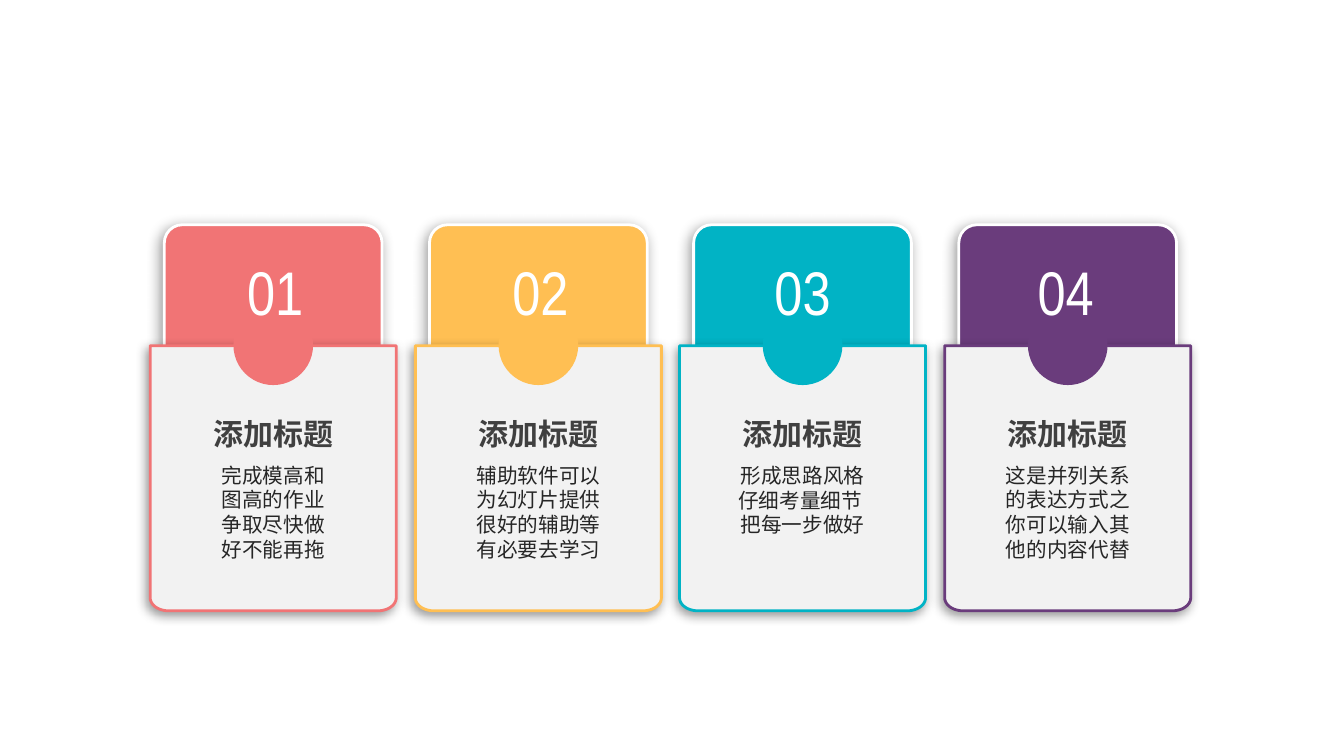
import math

import pptx
import pptx.dml.color
import pptx.enum.shapes
import pptx.enum.text
import pptx.oxml.ns
import pptx.util
from lxml import etree

RGB = pptx.dml.color.RGBColor
SHAPE = pptx.enum.shapes.MSO_SHAPE
qn = pptx.oxml.ns.qn
Pt = pptx.util.Pt

CORAL = RGB(0xF1, 0x74, 0x75)
AMBER = RGB(0xFF, 0xBF, 0x53)
TEAL = RGB(0x01, 0xB3, 0xC5)
PURPLE = RGB(0x6A, 0x3C, 0x7C)
WHITE = RGB(0xFF, 0xFF, 0xFF)
PALE = RGB(0xF2, 0xF2, 0xF2)
HEADING = RGB(0x40, 0x40, 0x40)
BODY = RGB(0x26, 0x26, 0x26)

NUMBER_FONT = "Arial Narrow"
CJK_FONT = "Noto Sans CJK SC"

CARD_LEFT, CARD_TOP, CARD_W, CARD_H = 149, 223, 244, 383
CARD_PITCH = 788 / 3
TAB_INSET, TAB_W, TAB_H = 14, 216, 199
POCKET_DY = 120
CORNER_X, CORNER_Y = 18, 13
NOTCH = 79

CARDS = [
    ("01", 2, CORAL, ["完成模高和", "图高的作业", "争取尽快做", "好不能再拖"]),
    ("02", 2, AMBER, ["辅助软件可以", "为幻灯片提供", "很好的辅助等", "有必要去学习"]),
    ("03", 0, TEAL, ["形成思路风格", "仔细考量细节 ", "把每一步做好"]),
    ("04", -2, PURPLE, ["这是并列关系", "的表达方式之", "你可以输入其", "他的内容代替"]),
]


def px(n):
    return pptx.util.Emu(round(n * 9144))


def style(sp, fill, line=None, blur=None):
    sp.fill.solid()
    sp.fill.fore_color.rgb = fill
    if line is None:
        sp.line.fill.background()
    else:
        sp.line.color.rgb = line
        sp.line.width = Pt(2)
    sp.shadow.inherit = False
    if blur:
        effects = sp._element.spPr.find(qn("a:effectLst"))
        shadow = etree.SubElement(
            effects, qn("a:outerShdw"), blurRad=str(Pt(blur)), dist=str(Pt(3)),
            dir=str(135 * 60000), algn="tr", rotWithShape="0")
        color = etree.SubElement(shadow, qn("a:srgbClr"), val="000000")
        etree.SubElement(color, qn("a:alpha"), val="40000")


def add_shape(shapes, kind, x, y, w, h):
    return shapes.add_shape(kind, px(x), px(y), px(w), px(h))


def add_pocket(shapes, x, y, w, h):
    steps = 12
    arcs = []
    for cx, start in ((x + w - CORNER_X, 0), (x + CORNER_X, 90)):
        for i in range(steps + 1):
            a = math.radians(start + 90 * i / steps)
            arcs.append((px(cx + CORNER_X * math.cos(a)),
                         px(y + h - CORNER_Y + CORNER_Y * math.sin(a))))
    fb = shapes.build_freeform(px(x), px(y), scale=1.0)
    fb.add_line_segments([(px(x + w), px(y))] + arcs, close=True)
    return fb.convert_to_shape()


def add_text(shapes, center, y, w, h, lines, font, size, color, bold=False, spacing=None):
    tf = shapes.add_textbox(px(center - w / 2), px(y), px(w), px(h)).text_frame
    tf.word_wrap = True
    for i, line in enumerate(lines):
        p = tf.paragraphs[0] if i == 0 else tf.add_paragraph()
        p.text = line
        p.alignment = pptx.enum.text.PP_ALIGN.CENTER
        if spacing:
            p.line_spacing = Pt(spacing)
        p.font.name = font
        p.font.size = Pt(size)
        p.font.bold = bold
        p.font.color.rgb = color
        props = p._p.pPr.find(qn("a:defRPr"))
        etree.SubElement(props, qn("a:ea"), typeface=font)


def add_card(slide, x, y, w, h, number, number_dx, color, lines):
    shapes = slide.shapes.add_group_shape().shapes
    center = x + w / 2
    pocket_y = y + POCKET_DY

    tab = add_shape(shapes, SHAPE.ROUNDED_RECTANGLE, x + TAB_INSET, y, TAB_W, TAB_H)
    tab.adjustments[0] = 0.09
    style(tab, color, WHITE, 10)

    pocket = add_pocket(shapes, x, pocket_y, w, h - POCKET_DY)
    style(pocket, PALE, color, 8)

    notch = add_shape(shapes, SHAPE.OVAL, center - NOTCH / 2, pocket_y - 40, NOTCH, NOTCH)
    style(notch, color)

    add_text(shapes, center + number_dx, y + 24, 118, 84, [number], NUMBER_FONT, 44, WHITE)
    add_text(shapes, center, y + 184, 147, 46, ["添加标题"], CJK_FONT, 21.4, HEADING, True, 25.8)
    add_text(shapes, center, y + 231, 184, 10 + 25 * len(lines), lines, CJK_FONT, 14.7, BODY,
             spacing=17.7)


def main():
    prs = pptx.Presentation()
    prs.slide_width = px(1333)
    prs.slide_height = px(750)
    slide = prs.slides.add_slide(prs.slide_layouts[6])
    for i, card in enumerate(CARDS):
        add_card(slide, CARD_LEFT + round(i * CARD_PITCH), CARD_TOP, CARD_W, CARD_H, *card)
    prs.save("out.pptx")


if __name__ == "__main__":
    main()
